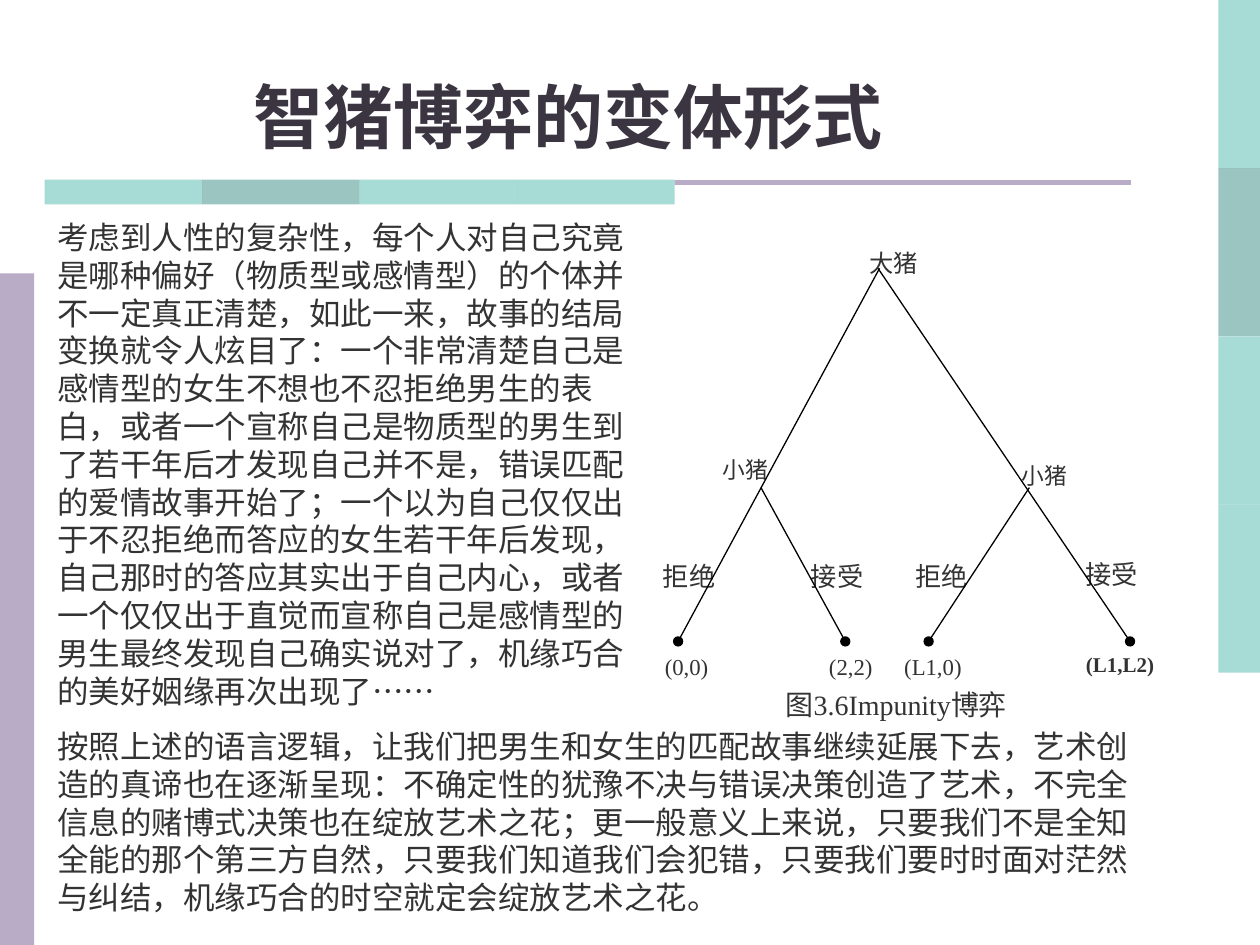
from lxml import etree
from pptx import Presentation
from pptx.dml.color import RGBColor
from pptx.enum import shapes, text
from pptx.oxml.ns import qn
from pptx.util import Cm, Pt

TEAL = RGBColor(0x51, 0xB9, 0xAF)
DARK_TEAL = RGBColor(0x39, 0x8D, 0x85)
LILAC = RGBColor(0xB8, 0xAC, 0xC6)
TITLE_INK = RGBColor(0x3A, 0x35, 0x41)
INK = RGBColor(0x33, 0x33, 0x33)
WHITE = RGBColor(0xFF, 0xFF, 0xFF)
BLACK = RGBColor(0, 0, 0)
LEFT, CENTER = text.PP_ALIGN.LEFT, text.PP_ALIGN.CENTER
RIGHT, JUSTIFY = text.PP_ALIGN.RIGHT, text.PP_ALIGN.JUSTIFY
TOP, MIDDLE, BOTTOM = text.MSO_ANCHOR.TOP, text.MSO_ANCHOR.MIDDLE, text.MSO_ANCHOR.BOTTOM


def add_block(place, color, opacity=100):
    block = page.shapes.add_shape(shapes.MSO_SHAPE.RECTANGLE, *map(Cm, place))
    block.shadow.inherit = False
    block.fill.solid()
    block.fill.fore_color.rgb = color
    block.line.fill.background()
    if opacity < 100:
        tint = block.fill._xPr.find(qn("a:solidFill"))[0]
        etree.SubElement(tint, qn("a:alpha"), val=str(opacity * 1000))
    return block


def write(box, words, size, align=LEFT, anchor=TOP, color=INK, bold=False, spacing=None):
    frame = box.text_frame
    frame_format = {"word_wrap": True, "auto_size": text.MSO_AUTO_SIZE.NONE,
                    "vertical_anchor": anchor}
    for name, value in frame_format.items():
        setattr(frame, name, value)
    para = frame.paragraphs[0]
    para.alignment = align
    # Keep closing punctuation inside the text margin
    para._p.get_or_add_pPr().set("hangingPunct", "0")
    if spacing:
        para.line_spacing = spacing
    span = para.add_run()
    span.text = words
    span.font.color.rgb = color
    font_format = {"name": "Times New Roman", "size": Pt(size), "bold": bold}
    for name, value in font_format.items():
        setattr(span.font, name, value)


deck = Presentation()
deck.slide_width, deck.slide_height = Cm(25.4), Cm(19.05)
page = deck.slides.add_slide(deck.slide_layouts[5])

# Decorative bars: right edge, left edge, and the rule under the title
for i, color in enumerate([TEAL, DARK_TEAL, TEAL, TEAL]):
    add_block((24.56, 3.39 * i, 0.84, 3.39), color, 50)
    add_block((0.9 + 3.175 * i, 3.62, 3.175, 0.5), color, 50)
add_block((0, 5.51, 0.69, 13.54), LILAC)
add_block((13.6, 3.63, 9.2, 0.1), LILAC)

# Title
title = page.shapes.title
title.left, title.top, title.width, title.height = map(Cm, (0, 1.12, 22.91, 2.18))
write(title, "智猪博弈的变体形式", 40, CENTER, BOTTOM, TITLE_INK, True)

# Game tree labels: words, place, size, line spacing, alignment
labels = [
    ("拒绝", (18.1, 10.72, 1.78, 1.35), 15, 1.9, CENTER),
    ("接受", (21.52, 10.68, 1.78, 1.35), 15, 1.9, CENTER),
    ("(L1,L2)", (21.83, 12.73, 1.5, 0.91), 12, 1.8, CENTER),
    ("接受", (16.06, 10.72, 1.63, 1.35), 15, 1.9, CENTER),
    ("小猪", (20.6, 8.82, 2.36, 1.07), 13, 1.9, JUSTIFY),
    ("小猪", (13.32, 8.69, 2.16, 1.07), 13, 1.9, RIGHT),
    (" (L1,0)", (17.9, 12.72, 1.7, 0.99), 13, 1.8, CENTER),
    ("(2,2)", (16.3, 12.72, 1.7, 0.99), 13, 1.8, CENTER),
    ("(0,0)", (12.99, 12.72, 1.7, 0.99), 13, 1.8, CENTER),
    ("拒绝", (13.11, 10.72, 1.57, 1.35), 15, 1.9, CENTER),
    ("大猪", (16.82, 4.53, 2.39, 1.07), 13.9, 1.8, CENTER),
]
for words, place, size, spacing, align in labels:
    label = add_block(place, WHITE)
    label.line.color.rgb = WHITE
    label.line.width = Pt(0.75)
    for side in ("left", "top", "right", "bottom"):
        setattr(label.text_frame, f"margin_{side}", 0)
    write(label, words, size, align, bold=words == "(L1,L2)", spacing=spacing)

# Game tree branches, each ending in a dot on the payoff row
for start_x, start_y, end_x in [(17.73, 5.41, 13.67), (17.7, 5.41, 22.78),
                                (15.34, 9.83, 17.04), (20.75, 9.83, 18.72)]:
    branch = page.shapes.add_connector(
        shapes.MSO_CONNECTOR.STRAIGHT, Cm(start_x), Cm(start_y), Cm(end_x), Cm(12.93))
    branch.line.color.rgb = BLACK
    branch.line.width = Pt(0.75)
    etree.SubElement(branch.line._get_or_add_ln(), qn("a:tailEnd"), type="oval")
    etree.SubElement(branch._element.spPr, qn("a:effectLst"))

# Caption and body text
passages = [
    ("图3.6Impunity博弈", (14.11, 13.72, 7.92, 0.94), 16, CENTER, MIDDLE),
    ("考虑到人性的复杂性，每个人对自己究竟是哪种偏好（物质型或感情型）的个体并"
     "不一定真正清楚，如此一来，故事的结局变换就令人炫目了：一个非常清楚自己是"
     "感情型的女生不想也不忍拒绝男生的表白，或者一个宣称自己是物质型的男生到"
     "了若干年后才发现自己并不是，错误匹配的爱情故事开始了；一个以为自己仅仅出"
     "于不忍拒绝而答应的女生若干年后发现，自己那时的答应其实出于自己内心，或者"
     "一个仅仅出于直觉而宣称自己是感情型的男生最终发现自己确实说对了，机缘巧合"
     "的美好姻缘再次出现了……", (0.91, 4.27, 12.09, 10.16), 18, LEFT, TOP),
    ("按照上述的语言逻辑，让我们把男生和女生的匹配故事继续延展下去，艺术创"
     "造的真谛也在逐渐呈现：不确定性的犹豫不决与错误决策创造了艺术，不完全"
     "信息的赌博式决策也在绽放艺术之花；更一般意义上来说，只要我们不是全知"
     "全能的那个第三方自然，只要我们知道我们会犯错，只要我们要时时面对茫然"
     "与纠结，机缘巧合的时空就定会绽放艺术之花。",
     (0.91, 14.53, 22.4, 4.06), 18, LEFT, TOP),
]
for words, place, size, align, anchor in passages:
    box = page.shapes.add_textbox(*map(Cm, place))
    write(box, words, size, align, anchor)

deck.save("out.pptx")
